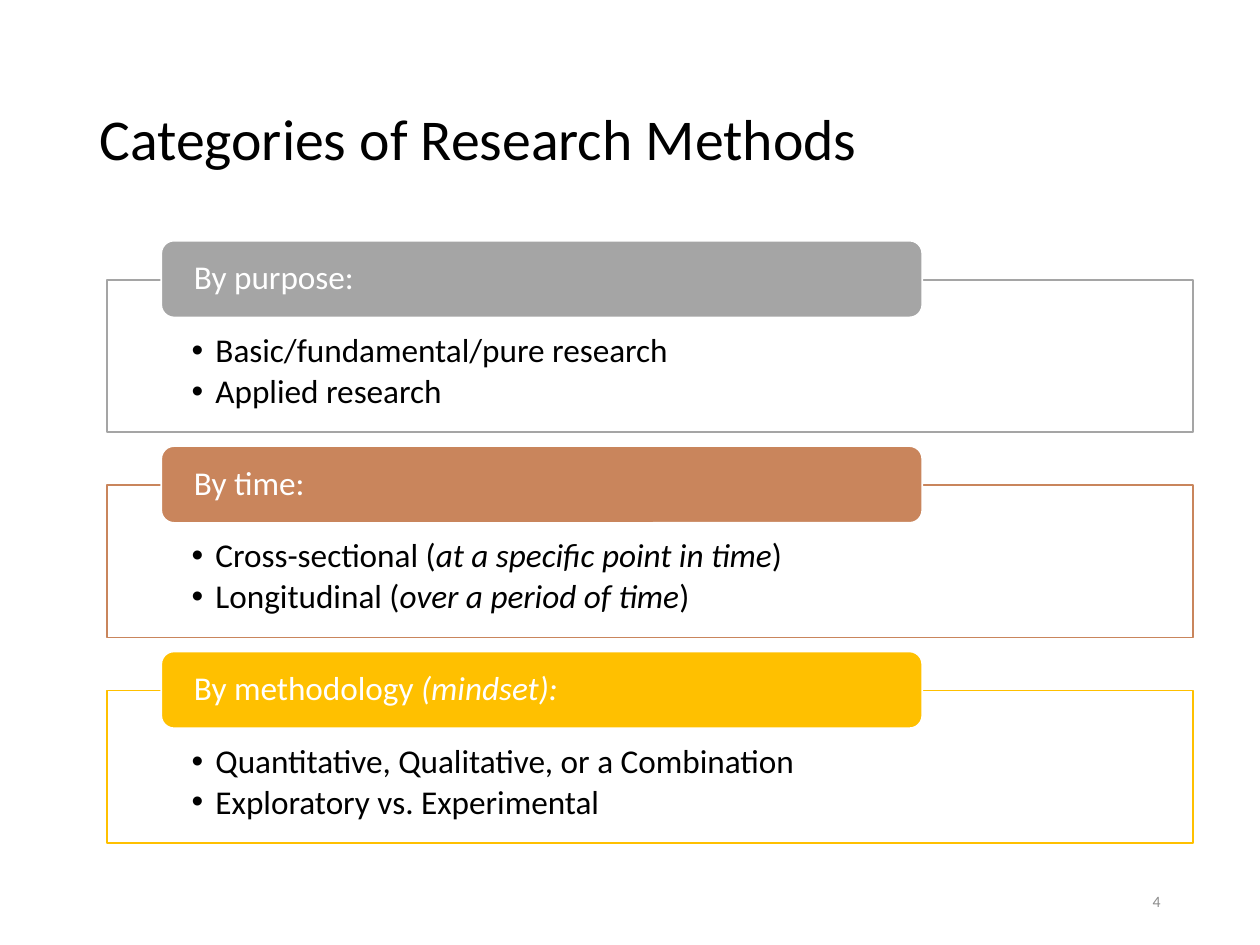
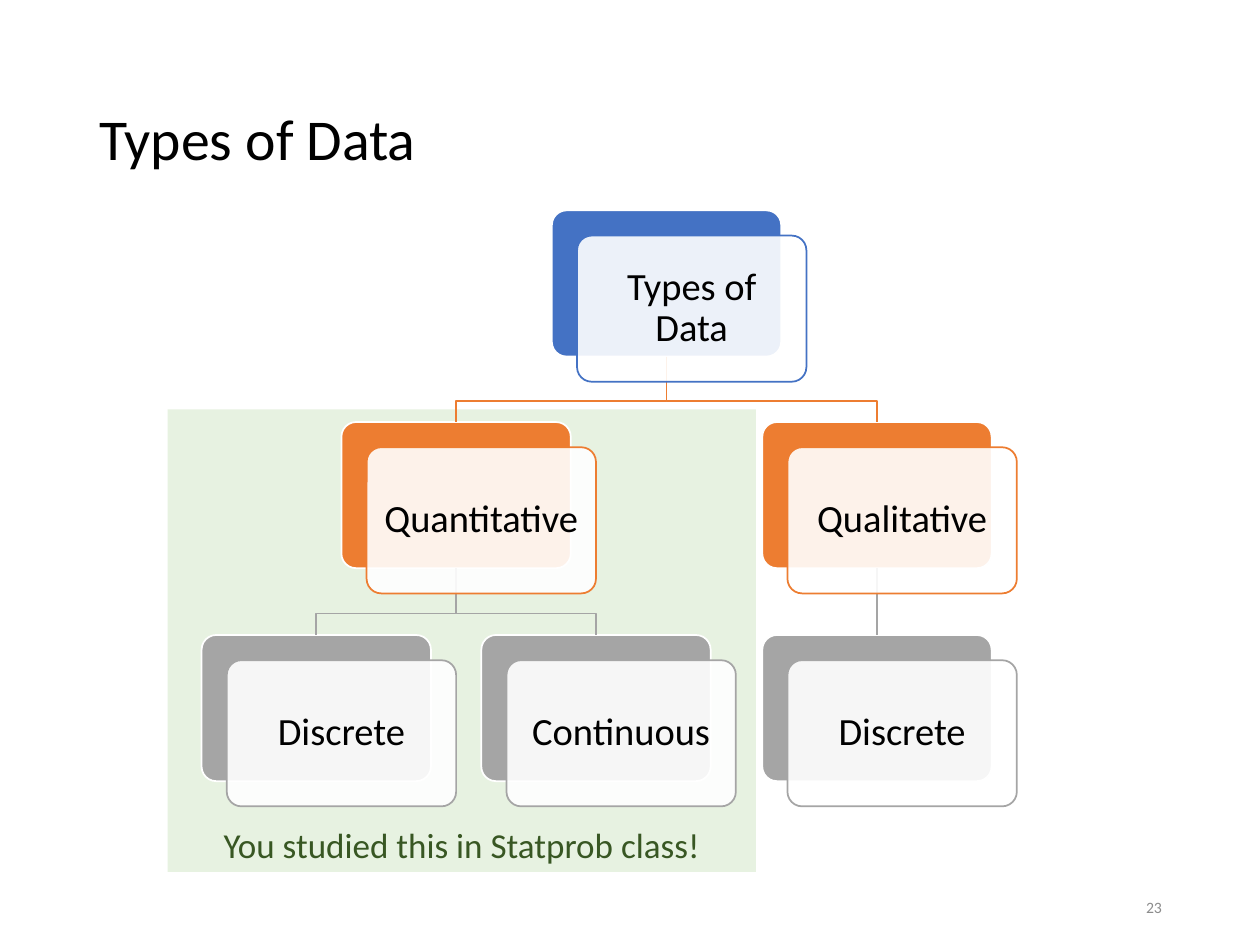
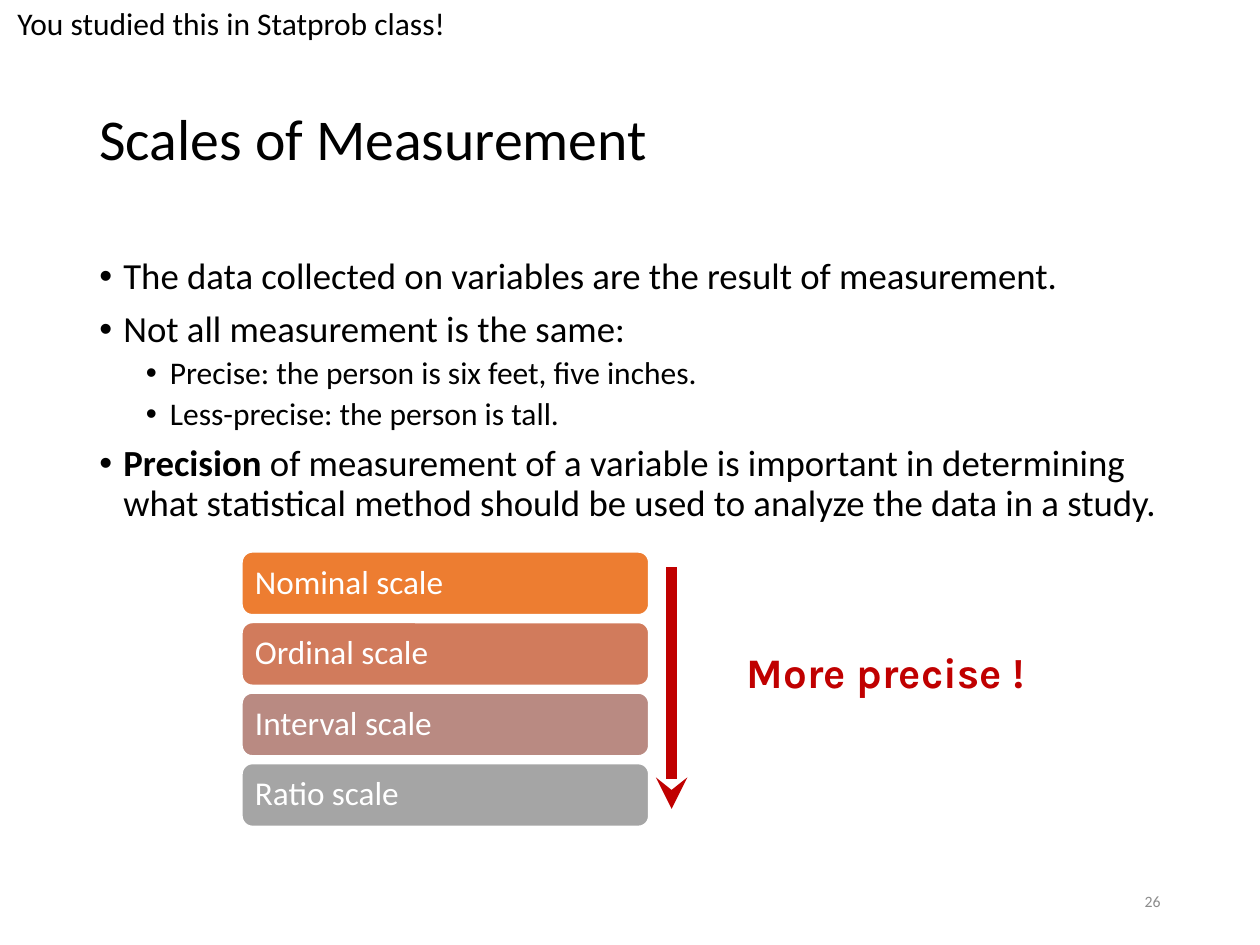
from pptx import Presentation
from pptx.dml.color import RGBColor
from pptx.enum.shapes import MSO_CONNECTOR, MSO_SHAPE
from pptx.enum.text import MSO_ANCHOR, PP_ALIGN
from pptx.oxml.ns import qn
from pptx.oxml.xmlchemy import OxmlElement
from pptx.util import Inches, Pt

RECT, ROUND = MSO_SHAPE.RECTANGLE, MSO_SHAPE.ROUNDED_RECTANGLE
STRAIGHT = MSO_CONNECTOR.STRAIGHT
TOP, MID, LOW = MSO_ANCHOR.TOP, MSO_ANCHOR.MIDDLE, MSO_ANCHOR.BOTTOM
LEFT, CENTER, RIGHT = PP_ALIGN.LEFT, PP_ALIGN.CENTER, PP_ALIGN.RIGHT

BLACK = RGBColor(0x00, 0x00, 0x00)
WHITE = RGBColor(0xFF, 0xFF, 0xFF)
GRAY = RGBColor(0xA5, 0xA5, 0xA5)
DIM = RGBColor(0x8C, 0x8C, 0x8C)
BROWN = RGBColor(0xC9, 0x85, 0x5C)
GOLD = RGBColor(0xFF, 0xC0, 0x00)
BLUE = RGBColor(0x44, 0x72, 0xC4)
ORANGE = RGBColor(0xED, 0x7D, 0x31)
RUST = RGBColor(0xD1, 0x7B, 0x5C)
ROSE = RGBColor(0xB9, 0x8A, 0x82)
LIME = RGBColor(0xC5, 0xE0, 0xB4)
GREEN = RGBColor(0x38, 0x57, 0x23)
RED = RGBColor(0xC0, 0x00, 0x00)
FONT, ACCENT, DOT = "Calibri", "Karla", "Arial"
NOTE = "You studied this in Statprob class!"

CARD_W, CARD_H, SHIFT = 1.82, 1.16, 0.2
CARDS = {
    "root": ("Types of Data", 4.38, 1.67, BLUE),
    "quant": ("Quantitative", 2.71, 3.35, ORANGE),
    "qual": ("Qualitative", 6.05, 3.35, ORANGE),
    "count": ("Discrete", 1.6, 5.04, GRAY),
    "flow": ("Continuous", 3.82, 5.04, GRAY),
    "kind": ("Discrete", 6.05, 5.04, GRAY),
}
BENDS = [("root", "quant"), ("root", "qual"),
         ("quant", "count"), ("quant", "flow")]

GROUPS = [
    (GRAY, ["By purpose:"],
     [["Basic/fundamental/pure research"], ["Applied research"]]),
    (BROWN, ["By time:"],
     [["Cross-sectional (", ("at a specific point in time", "i"), ")"],
      ["Longitudinal (", ("over a period of time", "i"), ")"]]),
    (GOLD, ["By methodology ", ("(mindset):", "i")],
     [["Quantitative, Qualitative, or a Combination"],
      ["Exploratory vs. Experimental"]]),
]

POINTS = [
    (0, ["The data collected on variables are the result of measurement."]),
    (0, ["Not all measurement is the same:"]),
    (1, ["Precise: the person is six feet, five inches."]),
    (1, ["Less-precise: the person is tall."]),
    (0, [("Precision", "b"),
         " of measurement of a variable is important in determining what "
         "statistical method should be used to analyze the data in a study."]),
]

SCALES = [("Nominal scale", ORANGE), ("Ordinal scale", RUST),
          ("Interval scale", ROSE), ("Ratio scale", GRAY)]


def write(shape, runs, size=18, color=BLACK, font=FONT, align=LEFT,
          lead=0.9, before=0, after=0, hang=None):
    frame = shape.text_frame
    para = frame.paragraphs[0]
    if para.runs:
        para = frame.add_paragraph()
    para.alignment, para.line_spacing = align, lead
    para.space_before, para.space_after = Pt(before), Pt(after)
    if hang is not None:
        props = para._p.get_or_add_pPr()
        props.set("marL", str(Inches(hang)))
        props.set("indent", str(-Inches(0.19)))
        for tag, key, value in (("a:buFont", "typeface", DOT),
                                ("a:buChar", "char", "•")):
            mark = OxmlElement(tag)
            mark.set(key, value)
            props.append(mark)
    for part in runs:
        text, style = (part, "") if isinstance(part, str) else part
        run = para.add_run()
        run.text = text
        run.font.name, run.font.size = font, Pt(size)
        run.font.color.rgb = color
        run.font.bold, run.font.italic = style == "b", style == "i"


def set_frame(shape, anchor, pads):
    frame = shape.text_frame
    frame.word_wrap, frame.vertical_anchor = True, anchor
    (frame.margin_left, frame.margin_top,
     frame.margin_right, frame.margin_bottom) = map(Inches, pads)


def add_text(slide, box, anchor=TOP, pads=(0.1, 0.05, 0.1, 0.05)):
    shape = slide.shapes.add_textbox(*map(Inches, box))
    set_frame(shape, anchor, pads)
    return shape


def add_box(slide, kind, box, fill, line=None, alpha=100, anchor=MID,
            pads=(0.1, 0.05, 0.1, 0.05)):
    shape = slide.shapes.add_shape(kind, *map(Inches, box))
    shape.shadow.inherit = False
    shape.fill.solid()
    shape.fill.fore_color.rgb = fill
    if alpha < 100:
        tone = shape.element.spPr.find(qn("a:solidFill"))[0]
        clear = OxmlElement("a:alpha")
        clear.set("val", str(alpha * 1000))
        tone.append(clear)
    if line is None:
        shape.line.fill.background()
    else:
        shape.line.color.rgb = line
        shape.line.width = Pt(1)
    set_frame(shape, anchor, pads)
    return shape


def add_line(slide, start, end, color, width, tip=None):
    line = slide.shapes.add_connector(
        STRAIGHT, *map(Inches, (*start, *end)))
    line.line.color.rgb = color
    line.line.width = Pt(width)
    props = line.element.spPr
    if tip:
        head = OxmlElement("a:tailEnd")
        head.set("type", tip)
        props.find(qn("a:ln")).append(head)
    props.append(OxmlElement("a:effectLst"))
    return line


def add_bend(slide, points, color):
    points = [tuple(map(Inches, point)) for point in points]
    maker = slide.shapes.build_freeform(*points[0])
    maker.add_line_segments(points[1:], close=False)
    shape = maker.convert_to_shape()
    shape.shadow.inherit = False
    shape.fill.background()
    shape.line.color.rgb = color
    shape.line.width = Pt(1)


def add_slide(deck, title, page, foot=(7.06, 6.95)):
    slide = deck.slides.add_slide(deck.slide_layouts[6])
    write(add_text(slide, (0.69, 0.4, 8.62, 1.45), MID), [title], size=33)
    write(add_text(slide, (*foot, 2.25, 0.4), MID), [page],
          size=9, color=DIM, align=RIGHT, lead=1)
    return slide


def add_group(slide, top, color, head, items):
    body = add_box(slide, RECT, (0.85, top + 0.31, 8.62, 1.21), WHITE, color,
                   alpha=90, anchor=TOP, pads=(0.67, 0.43, 0.67, 0.15))
    for item in items:
        write(body, item, size=19, after=2.85, hang=0.19)
    label = add_box(slide, ROUND, (1.28, top, 6.04, 0.61), color, WHITE,
                    pads=(0.23, 0, 0.23, 0))
    write(label, head, size=19, color=WHITE)


def add_card(slide, left, top, fill, line, alpha=100):
    card = add_box(slide, ROUND, (left, top, CARD_W, CARD_H), fill, line,
                   alpha=alpha, pads=(0.08,) * 4)
    card.adjustments[0] = 0.1
    return card


def add_tree(slide):
    backs = {key: add_card(slide, left, top, color, WHITE)
             for key, (_, left, top, color) in CARDS.items()}
    for high, low in BENDS:
        _, left, top, _ = CARDS[high]
        _, side, base, color = CARDS[low]
        start, end = left + CARD_W / 2, side + CARD_W / 2
        turn = base - 0.17
        add_bend(slide, [(start, top + CARD_H), (start, turn),
                         (end, turn), (end, base)], color)
    _, left, top, _ = CARDS["qual"]
    base = CARDS["kind"][2]
    axis = left + CARD_W / 2
    stem = add_line(slide, (axis, top + CARD_H), (axis, base), GRAY, 1)
    stem.begin_connect(backs["qual"], 2)
    stem.end_connect(backs["kind"], 0)
    for name, left, top, color in CARDS.values():
        front = add_card(slide, left + SHIFT, top + SHIFT, WHITE, color, 90)
        write(front, [name], size=22, align=CENTER)


def draw_methods(deck):
    slide = add_slide(deck, "Categories of Research Methods", "4")
    for row, group in enumerate(GROUPS):
        add_group(slide, 1.91 + 1.63 * row, *group)


def draw_types(deck):
    slide = add_slide(deck, "Types of Data", "23", (7.07, 7))
    zone = add_box(slide, RECT, (1.33, 3.25, 4.67, 3.67), LIME,
                   alpha=40, anchor=LOW)
    write(zone, [NOTE], size=20, color=GREEN, align=CENTER, lead=1)
    add_tree(slide)


def draw_scales(deck):
    slide = add_slide(deck, "Scales of Measurement", "26")
    body = add_text(slide, (0.69, 2, 8.62, 4.76))
    for level, runs in POINTS:
        write(body, runs, size=18 if level else 21,
              before=3.8 if level else 7.5, hang=0.56 if level else 0.19)
    for row, (name, color) in enumerate(SCALES):
        bar = add_box(slide, ROUND, (1.92, 4.38 + 0.56 * row, 3.23, 0.5),
                      color, WHITE, pads=(0.08, 0.05, 0.08, 0.05))
        write(bar, [name], size=19, color=WHITE)
    add_line(slide, (5.33, 4.5), (5.33, 6.42), RED, 6, "stealth")
    write(add_text(slide, (5.83, 5.08, 2.64, 0.44)),
          [("More precise !", "b")], size=24, color=RED, font=ACCENT, lead=1)
    write(add_text(slide, (0.04, -0.02, 5, 0.4)), [NOTE], lead=1)


def main():
    deck = Presentation()
    deck.slide_width, deck.slide_height = Inches(10), Inches(7.5)
    draw_methods(deck)
    draw_types(deck)
    draw_scales(deck)
    deck.save("out.pptx")


if __name__ == "__main__":
    main()
